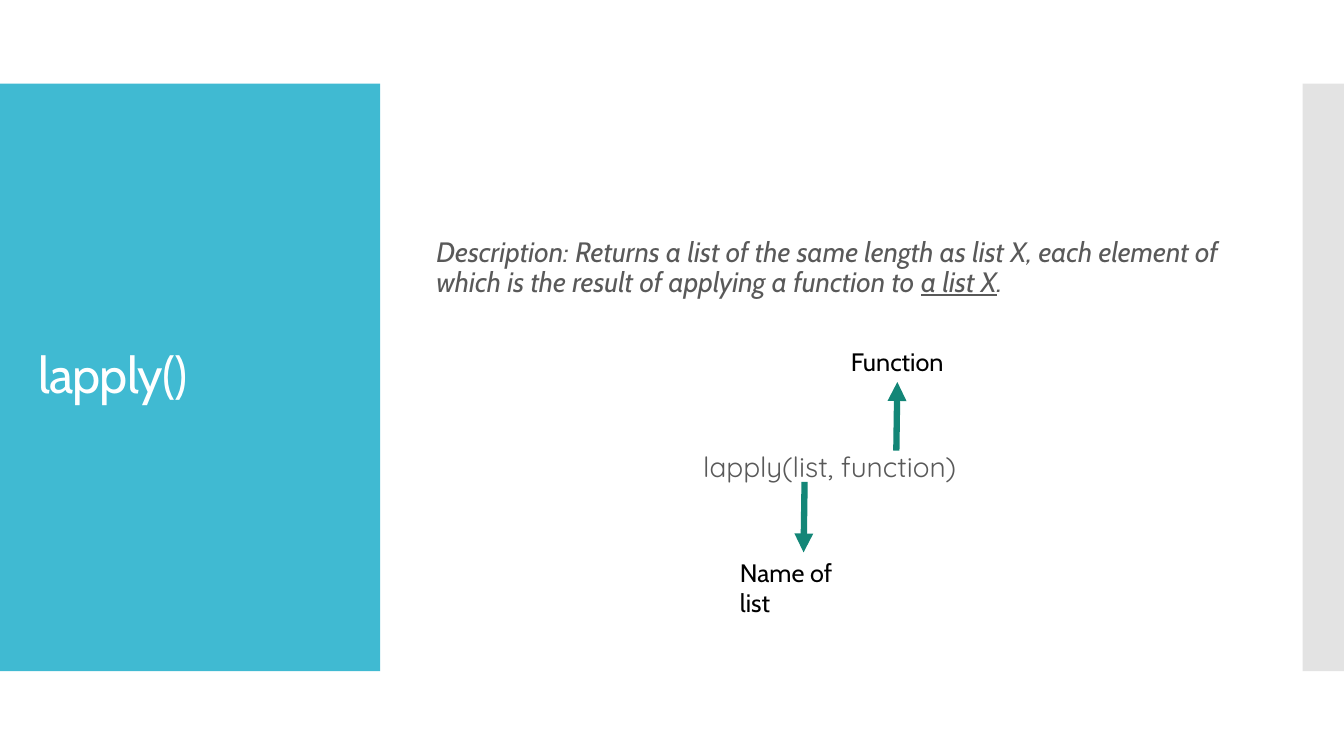
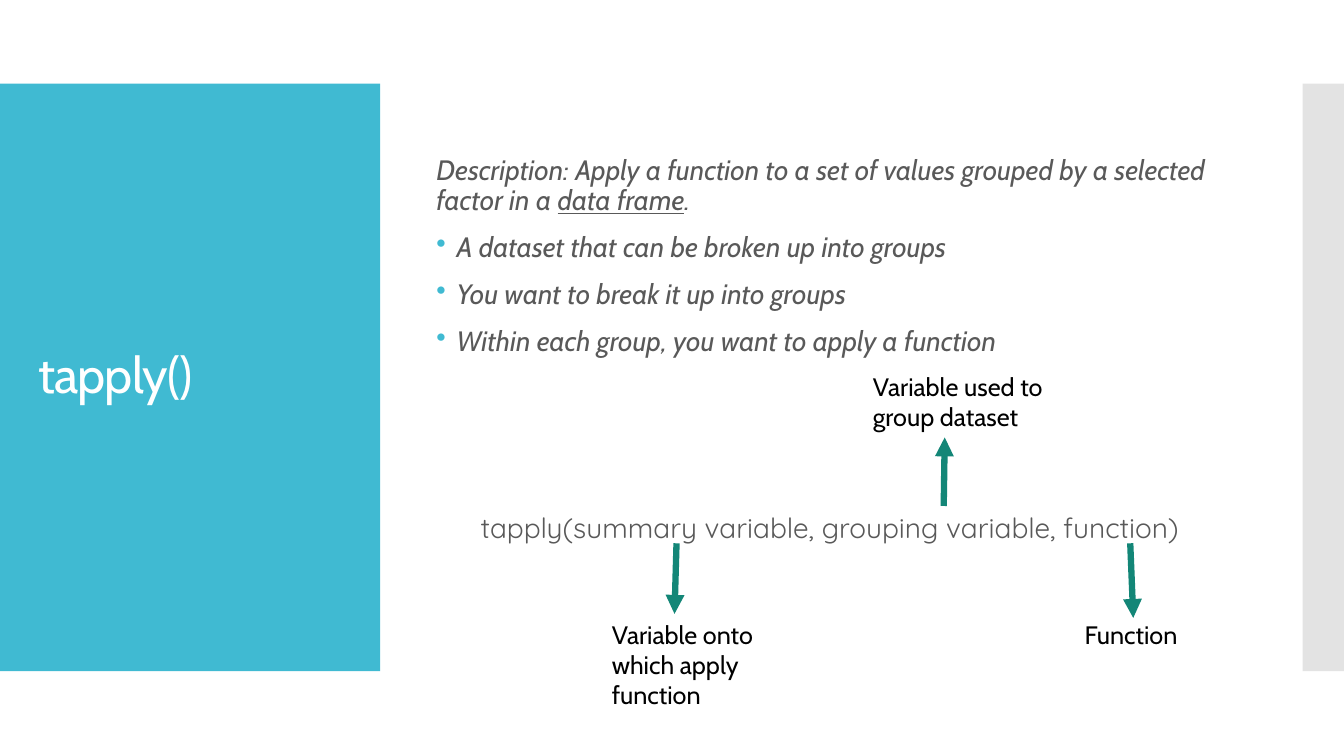
from lxml.etree import SubElement
from pptx import Presentation
from pptx.dml.color import RGBColor
from pptx.enum.shapes import MSO_CONNECTOR, MSO_SHAPE
from pptx.enum.text import MSO_ANCHOR, PP_ALIGN
from pptx.oxml.ns import qn
from pptx.util import Pt

RECT, LINE = MSO_SHAPE.RECTANGLE, MSO_CONNECTOR.STRAIGHT
TOP, MID = MSO_ANCHOR.TOP, MSO_ANCHOR.MIDDLE
LEFT, MIDDLE = PP_ALIGN.LEFT, PP_ALIGN.CENTER
PX = 9144  # 100 px to the inch

# Theme: colours, type sizes and shared places
THEME = {
    "band": "40BAD2", "edge": "C8C8C8", "arrow": "138677", "stroke": 4.5,
    "title": {"name": "Cabin", "size": 36, "color": "FFFFFF"},
    "text": {"name": "Cabin", "size": 20, "color": "595959", "italic": True},
    "code": {"name": "Quicksand", "size": 20, "color": "595959"},
    "label": {"name": "Cabin", "size": 18, "color": "000000"},
}
BANDS = [((0, 83, 377, 583), THEME["band"], 100),
         ((1292, 83, 42, 583), THEME["edge"], 50)]
TITLE = (28, 123, 322, 503)
BODY_X, BODY_W = 423, 800
TIGHT, GAP, INDENT = 0.9, 12, 20

# Content: "say" holds plain, underlined and plain text;
# each label has its text, its box and the arrow that leads to it
SLIDES = [
    {"title": "lapply()",
     "say": ("Description: Returns a list of the same length as list X, each "
             "element of which is the result of applying a function to ",
             "a list X", "."),
     "say_y": 231, "points": [],
     "code": "lapply(list, function)", "code_y": 445,
     "labels": [
         ("Name of list", (724, 548, 145, 71), (798, 478, 797, 548)),
         ("Function", (834, 339, 113, 40), (889, 447, 890, 379))]},
    {"title": "tapply()",
     "say": ("Description: Apply a function to a set of values grouped by a "
             "selected factor in a ", "data frame", "."),
     "say_y": 150,
     "points": ["A dataset that can be broken up into groups",
                "You want to break it up into groups",
                "Within each group, you want to apply a function"],
     "code": "tapply(summary variable, grouping variable, function)",
     "code_y": 505,
     "labels": [
         ("Variable onto which apply function", (597, 609, 174, 101),
          (671, 539, 669, 609)),
         ("Variable used to group dataset", (856, 363, 210, 71),
          (936, 502, 937, 434)),
         ("Function", (1066, 609, 113, 40), (1121, 539, 1124, 613))]},
]


def emu(vals):
    return [v * PX for v in vals]


def add_run(para, text, style, **more):
    run = para.add_run()
    run.text = text
    for key, val in {**style, **more}.items():
        if key == "color":
            run.font.color.rgb = RGBColor.from_string(val)
        else:
            setattr(run.font, key, Pt(val) if key == "size" else val)
    return run


def add_box(slide, box, anchor=TOP, align=LEFT, tight=None):
    frame = slide.shapes.add_textbox(*emu(box)).text_frame
    frame.word_wrap = True
    frame.vertical_anchor = anchor
    para = frame.paragraphs[0]
    para.alignment, para.line_spacing = align, tight
    return frame, para


def add_band(slide, box, color, alpha):
    band = slide.shapes.add_shape(RECT, *emu(box))
    band.shadow.inherit = False
    band.fill.solid()
    band.fill.fore_color.rgb = RGBColor.from_string(color)
    band.line.fill.background()
    if alpha < 100:
        tint = band.fill._xPr.find(".//" + qn("a:srgbClr"))
        SubElement(tint, qn("a:alpha"), val=str(alpha * 1000))


def add_point(frame, text):
    para = frame.add_paragraph()
    para.line_spacing, para.space_before = TIGHT, Pt(GAP)
    props = para._p.get_or_add_pPr()
    props.set("marL", str(INDENT * PX))
    props.set("indent", str(-INDENT * PX))
    tint = SubElement(props, qn("a:buClr"))
    SubElement(tint, qn("a:srgbClr"), val=THEME["band"])
    SubElement(props, qn("a:buChar"), char="•")
    add_run(para, text, THEME["text"])


def add_arrow(slide, ends):
    arrow = slide.shapes.add_connector(LINE, *emu(ends))
    arrow.line.color.rgb = RGBColor.from_string(THEME["arrow"])
    arrow.line.width = Pt(THEME["stroke"])
    SubElement(arrow.line._get_or_add_ln(), qn("a:tailEnd"), type="triangle")
    SubElement(arrow._element.spPr, qn("a:effectLst"))


def add_slide(deck, item):
    slide = deck.slides.add_slide(deck.slide_layouts[6])
    # Bands and title
    for band in BANDS:
        add_band(slide, *band)
    _, para = add_box(slide, TITLE, MID, tight=TIGHT)
    run = add_run(para, item["title"], THEME["title"])
    run.font._element.set("spc", "-60")
    # Description and bullets
    high = 75 + 47 * len(item["points"])
    frame, para = add_box(slide, (BODY_X, item["say_y"], BODY_W, high),
                          tight=TIGHT)
    for text, under in zip(item["say"], (False, True, False)):
        add_run(para, text, THEME["text"], underline=under)
    for text in item["points"]:
        add_point(frame, text)
    # Call with its labelled parts
    _, para = add_box(slide, (BODY_X, item["code_y"], BODY_W, 42),
                      align=MIDDLE, tight=TIGHT)
    add_run(para, item["code"], THEME["code"])
    for text, box, ends in item["labels"]:
        add_arrow(slide, ends)
        _, para = add_box(slide, box)
        add_run(para, text, THEME["label"])


def main():
    deck = Presentation()
    deck.slide_width, deck.slide_height = emu((1333, 750))
    for item in SLIDES:
        add_slide(deck, item)
    deck.save("out.pptx")


if __name__ == "__main__":
    main()
